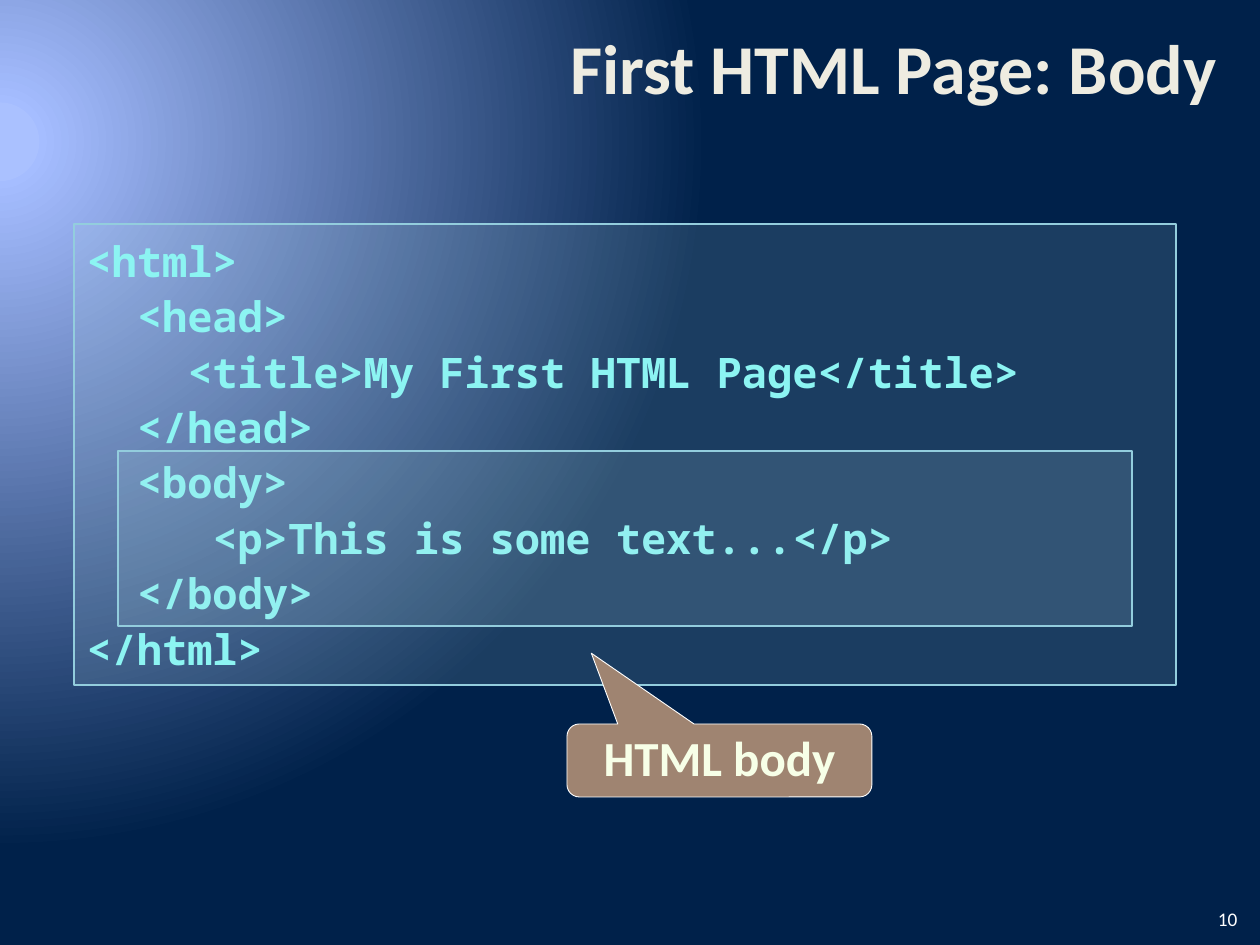
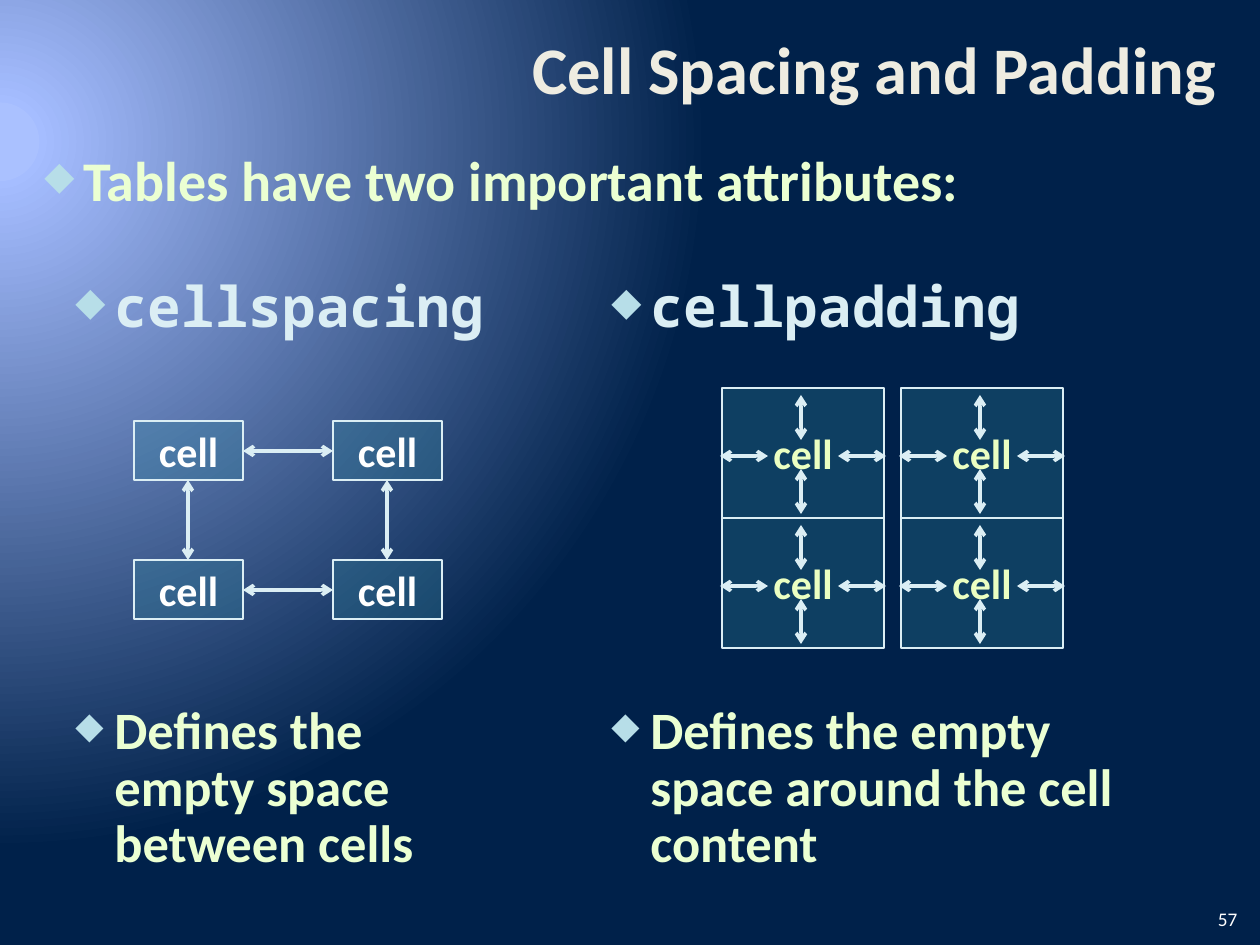
from itertools import product
from typing import NamedTuple

from lxml.etree import SubElement
from pptx import Presentation
from pptx.dml.color import RGBColor
from pptx.enum.shapes import MSO_CONNECTOR as Connector, MSO_SHAPE as Preset
from pptx.enum.text import MSO_ANCHOR as Anchor, PP_ALIGN as Align
from pptx.oxml import parse_xml
from pptx.oxml.ns import nsdecls, qn
from pptx.util import Emu, Pt

# Scale: 126 px to the inch
EMU_PER_PX = 914400 / 126
PAGE_WIDTH, PAGE_HEIGHT = 1260, 945

# Colours
CREAM = RGBColor(0xEE, 0xEC, 0xE1)
WHITE = RGBColor(0xFF, 0xFF, 0xFF)
CODE_CYAN = RGBColor(0x8C, 0xF4, 0xF2)
PALE_BLUE = RGBColor(0xDB, 0xEE, 0xF4)
PANEL_BLUE = RGBColor(0xB7, 0xDE, 0xE8)
PANEL_EDGE = RGBColor(0x93, 0xCD, 0xDD)
CELL_TEAL = RGBColor(0x31, 0x85, 0x9C)
BODY_GREEN = RGBColor(0xEB, 0xFF, 0xD2)
CELL_GREEN = RGBColor(0xEB, 0xFF, 0xC2)
CALLOUT_BROWN = RGBColor(0x9F, 0x84, 0x71)
CALLOUT_TEXT = RGBColor(0xF7, 0xFF, 0xE7)
BACKDROP_STOPS = [(5, "AAC1FF"), (5, "A5BDFF"), (90, "00214A")]

SANS = "Calibri"
MONO = "Noto Sans Mono"
BULLET_INDENT = 39


class Area(NamedTuple):
    left: int
    top: int
    width: int
    height: int


class TextStyle(NamedTuple):
    size: int
    color: RGBColor
    font: str = SANS
    bold: bool = True
    align: Align = Align.LEFT
    spacing: float | Pt | None = None


class Look(NamedTuple):
    fill: RGBColor
    edge: RGBColor
    edge_width: float
    opacity: int = 100


class Arrow(NamedTuple):
    x1: int
    y1: int
    x2: int
    y2: int


class Column(NamedTuple):
    left: int
    width: int
    attribute: str
    meaning: str


TITLE = TextStyle(40, CREAM, align=Align.RIGHT, spacing=Pt(40))
NUMBER = TextStyle(11, WHITE, bold=False, align=Align.RIGHT)
CODE = TextStyle(24, CODE_CYAN, MONO, spacing=1.1)
CALLOUT = TextStyle(28, CALLOUT_TEXT, align=Align.CENTER, spacing=Pt(30))
ATTRIBUTE = TextStyle(32, PALE_BLUE, MONO, spacing=0.9)
LEAD = TextStyle(32, BODY_GREEN, spacing=0.9)
MEANING = TextStyle(30, BODY_GREEN, spacing=0.9)
SPACED_CELL = TextStyle(24, WHITE, align=Align.CENTER)
PADDED_CELL = TextStyle(24, CELL_GREEN, align=Align.CENTER)

PANEL_LOOK = Look(PANEL_BLUE, PANEL_EDGE, 1, 15)
CALLOUT_LOOK = Look(CALLOUT_BROWN, WHITE, 0.5)
CELL_LOOK = Look(CELL_TEAL, PALE_BLUE, 0.75, 30)

CODE_LINES = [
    "<html>",
    "  <head>",
    "    <title>My First HTML Page</title>",
    "  </head>",
    "  <body>",
    "     <p>This is some text...</p>",
    "  </body>",
    "</html>",
]
COLUMNS = [
    Column(63, 462, "cellspacing", "Defines the empty space between cells"),
    Column(599, 588, "cellpadding", "Defines the empty space around the cell content"),
]


def px(length: int) -> Emu:
    return Emu(round(length * EMU_PER_PX))


def write(shape, lines: list[str], style: TextStyle, anchor=Anchor.TOP,
          wrap: bool = True, bullet: bool = False) -> None:
    frame = shape.text_frame
    frame.word_wrap = wrap
    frame.vertical_anchor = anchor
    for index, line in enumerate(lines):
        para = frame.paragraphs[0] if index == 0 else frame.add_paragraph()
        para.add_run().text = line
        para.alignment = style.align
        if style.spacing is not None:
            para.line_spacing = style.spacing
        if bullet:
            add_bullet(para)
        para.font.name = style.font
        para.font.size = Pt(style.size)
        para.font.bold = style.bold
        para.font.color.rgb = style.color


def add_bullet(para) -> None:
    props = para._p.get_or_add_pPr()
    props.set("marL", str(px(BULLET_INDENT)))
    props.set("indent", str(-px(BULLET_INDENT)))
    color = SubElement(props, qn("a:buClr"))
    SubElement(color, qn("a:srgbClr"), val=str(PANEL_BLUE))
    SubElement(props, qn("a:buSzPct"), val="70000")
    SubElement(props, qn("a:buChar"), char="◆")


def add_text(page, area: Area, text: str, style: TextStyle,
             anchor=Anchor.TOP, bullet: bool = False) -> None:
    box = page.shapes.add_textbox(*map(px, area))
    write(box, [text], style, anchor, bullet=bullet)


def add_panel(page, area: Area, look: Look, preset=Preset.RECTANGLE):
    shape = page.shapes.add_shape(preset, *map(px, area))
    shape.shadow.inherit = False
    shape.fill.solid()
    shape.fill.fore_color.rgb = look.fill
    if look.opacity < 100:
        color = shape._element.spPr.find(".//" + qn("a:srgbClr"))
        SubElement(color, qn("a:alpha"), val=str(look.opacity * 1000))
    shape.line.color.rgb = look.edge
    shape.line.width = Pt(look.edge_width)
    return shape


def add_arrow(page, arrow: Arrow) -> None:
    link = page.shapes.add_connector(Connector.STRAIGHT, *map(px, arrow))
    link.line.color.rgb = PALE_BLUE
    link.line.width = Pt(2)
    line = link.line._get_or_add_ln()
    for end in ("a:headEnd", "a:tailEnd"):
        SubElement(line, qn(end), type="arrow")
    SubElement(link._element.spPr, qn("a:effectLst"))


def add_page(deck, title: str, number: int, title_size: int = 40):
    page = deck.slides.add_slide(deck.slide_layouts[6])
    stops = "".join(f'<a:gs pos="{at * 1000}"><a:srgbClr val="{color}"/></a:gs>'
                    for at, color in BACKDROP_STOPS)
    backdrop = parse_xml(
        f'<p:bg {nsdecls("p", "a")}><p:bgPr><a:gradFill><a:gsLst>{stops}</a:gsLst>'
        '<a:path path="circle"><a:fillToRect l="20000" t="30000" r="135000" b="100000"/>'
        '</a:path></a:gradFill><a:effectLst/></p:bgPr></p:bg>')
    page._element.cSld.insert(0, backdrop)
    add_text(page, Area(252, 10, 977, 126), title,
             TITLE._replace(size=title_size), Anchor.MIDDLE)
    add_text(page, Area(1187, 903, 63, 32), str(number), NUMBER, Anchor.MIDDLE)
    return page


def add_body_page(deck) -> None:
    page = add_page(deck, "First HTML Page: Body", 10)
    listing = add_panel(page, Area(74, 224, 1102, 461), PANEL_LOOK)
    write(listing, CODE_LINES, CODE)
    add_panel(page, Area(118, 451, 1014, 175), PANEL_LOOK)
    callout = add_panel(page, Area(567, 724, 305, 73), CALLOUT_LOOK,
                        Preset.ROUNDED_RECTANGULAR_CALLOUT)
    for index, value in enumerate((-0.42, -1.47, 0.17)):
        callout.adjustments[index] = value
    write(callout, ["HTML body"], CALLOUT, Anchor.MIDDLE)


def add_cell(page, area: Area, style: TextStyle) -> None:
    cell = add_panel(page, area, CELL_LOOK)
    write(cell, ["cell"], style, Anchor.MIDDLE, wrap=False)


def draw_spacing(page) -> None:
    left, top, width, height = 134, 421, 109, 59
    step_x, step_y = 199, 139
    for col, row in product(range(2), repeat=2):
        add_cell(page, Area(left + col * step_x, top + row * step_y, width, height),
                 SPACED_CELL)
    for index in range(2):
        y = top + height // 2 + 1 + index * step_y
        add_arrow(page, Arrow(left + width, y, left + step_x, y))
        x = left + width // 2 + index * step_x
        add_arrow(page, Arrow(x, top + height, x, top + step_y))


def draw_padding(page) -> None:
    left, top, width, height = 722, 388, 162, 130
    step_x, step_y = 179, 130
    # Arrows inside one cell, measured from its corner
    paddings = [Arrow(79, 7, 79, 52), Arrow(79, 81, 79, 126),
                Arrow(-2, 68, 46, 68), Arrow(116, 68, 164, 68)]
    for col, row in product(range(2), repeat=2):
        x, y = left + col * step_x, top + row * step_y
        add_cell(page, Area(x, y, width, height), PADDED_CELL)
        for arrow in paddings:
            add_arrow(page, Arrow(x + arrow.x1, y + arrow.y1,
                                  x + arrow.x2, y + arrow.y2))


def add_spacing_page(deck) -> None:
    page = add_page(deck, "Cell Spacing and Padding", 57, title_size=38)
    add_text(page, Area(32, 147, 1197, 73), "Tables have two important attributes:",
             LEAD, bullet=True)
    for column in COLUMNS:
        add_text(page, Area(column.left, 273, column.width, 80), column.attribute,
                 ATTRIBUTE, bullet=True)
        add_text(page, Area(column.left, 698, column.width, 186), column.meaning,
                 MEANING, bullet=True)
    draw_spacing(page)
    draw_padding(page)


def main() -> None:
    deck = Presentation()
    deck.slide_width, deck.slide_height = px(PAGE_WIDTH), px(PAGE_HEIGHT)
    add_body_page(deck)
    add_spacing_page(deck)
    deck.save("out.pptx")


if __name__ == "__main__":
    main()
